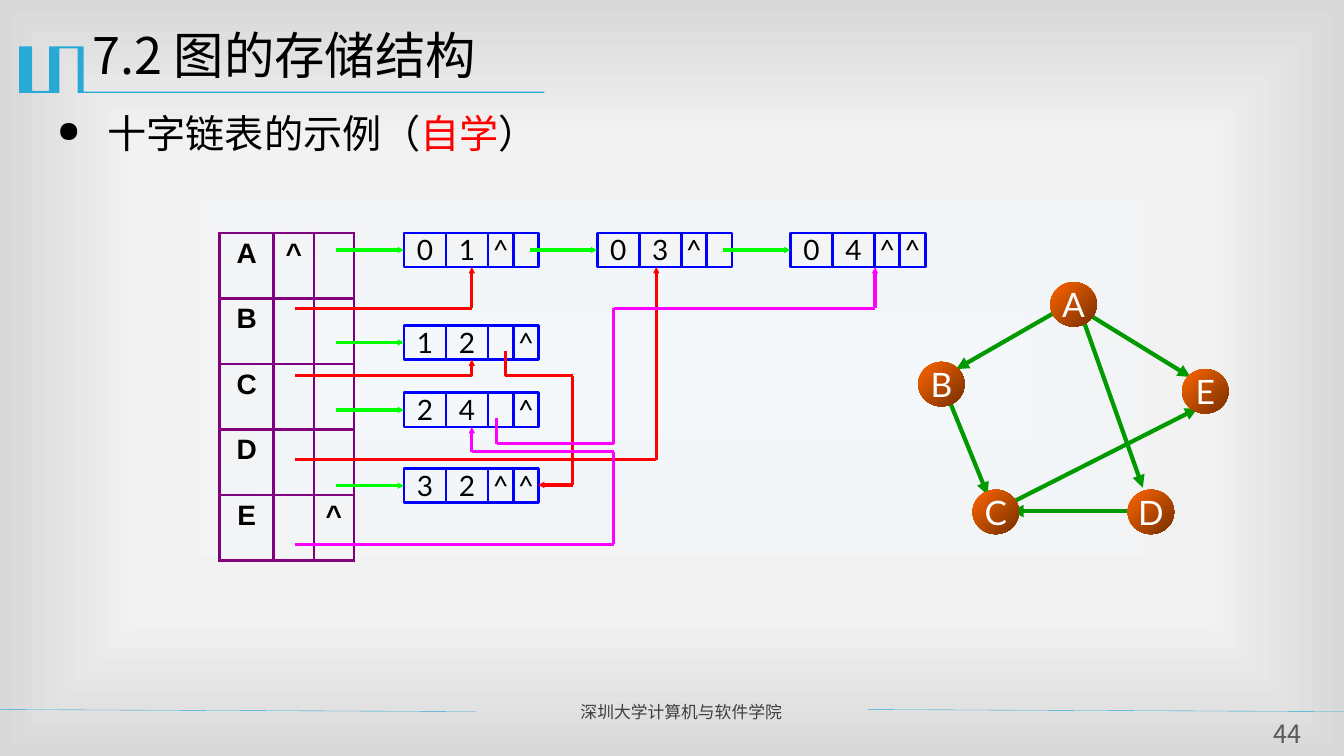
from itertools import pairwise
from lxml.etree import SubElement
from pptx import Presentation
from pptx.dml.color import RGBColor
from pptx.enum.shapes import MSO_CONNECTOR, MSO_SHAPE
from pptx.enum.text import MSO_ANCHOR, PP_ALIGN
from pptx.oxml.ns import qn
from pptx.util import Cm, Pt

CJK = "Noto Sans CJK SC"
hex_color = RGBColor.from_string


def write(frame, text, size, font, color, align=PP_ALIGN.CENTER, margin=0):
    frame.margin_left = frame.margin_right = Cm(margin)
    frame.margin_top = frame.margin_bottom = Cm(margin / 2)
    para = frame.paragraphs[0]
    para.alignment = align
    para.add_run().text = text
    para.font.size = Pt(size)
    para.font.name = font
    para.font.color.rgb = hex_color(color)
    SubElement(para._p.pPr.find(qn("a:defRPr")), qn("a:ea"), typeface=font)
    return para


def draw_route(points, color, width, head=None):
    for start, end in pairwise(points):
        line = page.shapes.add_connector(
            MSO_CONNECTOR.STRAIGHT, Cm(start[0]), Cm(start[1]), Cm(end[0]), Cm(end[1]))
        line.line.color.rgb = hex_color(color)
        line.line.width = Pt(width)
        properties = line._element.spPr
        SubElement(properties, qn("a:effectLst"))
        if head and end == points[-1]:
            SubElement(properties.find(qn("a:ln")), qn("a:tailEnd"),
                       type="triangle", w=head, len=head)


deck = Presentation()
deck.slide_width, deck.slide_height = Cm(33.87), Cm(19.05)
page = deck.slides.add_slide(deck.slide_layouts[5])

page.background.fill.gradient()
gradient = page.element.find(".//" + qn("a:gradFill"))
for child in list(gradient):
    gradient.remove(child)
stops = SubElement(gradient, qn("a:gsLst"))
for position, color in [(0, "F4F8FB"), (63, "F2F2F2"), (100, "D8D8D8")]:
    stop = SubElement(stops, qn("a:gs"), pos=str(position * 1000))
    SubElement(stop, qn("a:srgbClr"), val=color)
center = SubElement(gradient, qn("a:path"), path="rect")
SubElement(center, qn("a:fillToRect"), l="50000", t="50000", r="50000", b="50000")

outline = page.shapes.build_freeform(208, 117, scale=Cm(0.01))
outline.add_line_segments([
    (211, 117), (211, 231), (1372, 231), (1372, 234), (196, 234),
    (196, 122), (150, 122), (150, 234), (48, 234), (48, 117),
    (81, 117), (81, 229), (124, 229), (124, 117)])
ornament = outline.convert_to_shape()
ornament.shadow.inherit = False
ornament.fill.solid()
ornament.fill.fore_color.rgb = hex_color("28A9D6")
ornament.line.fill.background()

for left, right in [(0, 11.99), (21.87, 33.87)]:
    draw_route([(left, 17.88), (right, 17.93)], "28A9D6", 0.25)

title = page.shapes.title
title.left, title.top, title.width, title.height = Cm(2.08), Cm(0.61), Cm(30.48), Cm(2.21)
title.text_frame.vertical_anchor = MSO_ANCHOR.TOP
write(title.text_frame, "7.2 图的存储结构", 36, CJK, "000000", PP_ALIGN.LEFT, 0.25)
title.text_frame.margin_top = 0

body = page.shapes.add_textbox(Cm(1.19), Cm(2.64), Cm(30.81), Cm(2.01))
body.text_frame.word_wrap = True
properties = body.text_frame.paragraphs[0]._p.get_or_add_pPr()
properties.set("marL", str(Cm(1.27)))
properties.set("indent", str(-Cm(1.27)))
SubElement(properties, qn("a:buSzPct"), val="75000")
SubElement(properties, qn("a:buChar"), char="●")
para = write(body.text_frame, "十字链表的示例（", 28, CJK, "000000", PP_ALIGN.LEFT, 0.25)
span = para.add_run()
span.text = "自学"
span.font.color.rgb = hex_color("FF0000")
para.add_run().text = "）"

footer = page.shapes.add_textbox(Cm(14.38), Cm(17.55), Cm(7.24), Cm(0.76))
footer.text_frame.word_wrap = True
write(footer.text_frame, "深圳大学计算机与软件学院", 12, CJK, "3F3F3F", PP_ALIGN.LEFT, 0.25)
number = page.shapes.add_textbox(Cm(31.7), Cm(18.11), Cm(1.5), Cm(0.79))
number.text_frame.word_wrap = True
write(number.text_frame, "44", 18, CJK, "595959")

edges = [
    ((27.43, 7.92), (30, 9.5)), ((23.93, 10.11), (24.89, 12.47)),
    ((26.85, 7.72), (24.1, 9.3)), ((27.25, 7.92), (28.8, 12.29)),
    ((28.42, 12.88), (25.48, 12.88)), ((25.48, 12.67), (30.18, 10.29))]
for edge in edges:
    draw_route(edge, "009900", 3, "med")

vertices = {"B": (23.14, 9.12), "D": (28.42, 12.34), "C": (24.51, 12.34),
            "E": (29.79, 9.3), "A": (26.47, 7.11)}
for name, (left, top) in vertices.items():
    vertex = page.shapes.add_shape(MSO_SHAPE.OVAL, Cm(left), Cm(top), Cm(1.17), Cm(1.12))
    vertex.shadow.inherit = False
    vertex.line.fill.background()
    vertex.fill.gradient()
    vertex.fill.gradient_angle = 315
    for stop, color in zip(vertex.fill.gradient_stops, ["FF6600", "762F00"]):
        stop.color.rgb = hex_color(color)
    vertex.text_frame.word_wrap = False
    vertex.text_frame.vertical_anchor = MSO_ANCHOR.MIDDLE
    write(vertex.text_frame, name, 24, "Lato", "FFFFFF")

heads = ["A^ ", "B  ", "C  ", "D  ", "E ^"]
table = page.shapes.add_table(5, 3, Cm(5.54), Cm(5.87), Cm(3.38), Cm(8.25)).table
table.first_row = table.horz_banding = False
for column, width in zip(table.columns, [1.36, 1.01, 1.01]):
    column.width = Cm(width)
for row_index, labels in enumerate(heads):
    table.rows[row_index].height = Cm(1.65)
    for column_index, label in enumerate(labels):
        cell = table.cell(row_index, column_index)
        cell.fill.background()
        properties = cell._tc.get_or_add_tcPr()
        for index, side in enumerate(["a:lnL", "a:lnR", "a:lnT", "a:lnB"]):
            border = SubElement(properties, qn(side), w=str(Pt(2.25)))
            properties.insert(index, border)
            SubElement(SubElement(border, qn("a:solidFill")), qn("a:srgbClr"), val="800080")
        if label != " ":
            para = write(cell.text_frame, label, 20, "Arial", "000000", margin=0.25)
            para.font.bold = True

arc_nodes = [
    (10.18, 5.87, "01^ "), (15.05, 5.87, "03^ "), (19.92, 5.87, "04^^"),
    (10.18, 8.2, "12 ^"), (10.18, 9.9, "24 ^"), (10.18, 11.81, "32^^")]
field_slots = [(0, 0, 1.06), (2, 2.12, 0.64), (1, 1.06, 1.06), (3, 2.76, 0.64)]
for left, top, fields in arc_nodes:
    for index, offset, width in field_slots:
        box = page.shapes.add_shape(
            MSO_SHAPE.RECTANGLE, Cm(left + offset), Cm(top), Cm(width), Cm(0.86))
        box.shadow.inherit = False
        box.fill.background()
        box.line.color.rgb = hex_color("0000FF")
        box.line.width = Pt(2)
        if fields[index] != " ":
            box.text_frame.vertical_anchor = MSO_ANCHOR.TOP
            write(box.text_frame, fields[index], 20, "Lato", "000000")
    draw_route([(left - 1.7, top + 0.43), (left, top + 0.43)], "00FF00", 2.25, "sm")

in_links = [
    ("FF0000", [(7.44, 7.77), (11.89, 7.77), (11.89, 6.73)]),
    ("FF0000", [(7.44, 9.47), (11.89, 9.47), (11.89, 9.06)]),
    ("FF0000", [(12.73, 8.84), (12.73, 9.47), (14.43, 9.47), (14.43, 12.22), (13.56, 12.22)]),
    ("FF0000", [(7.44, 11.58), (16.54, 11.58), (16.54, 6.73)]),
    ("FF00FF", [(7.44, 13.72), (15.47, 13.72), (15.47, 11.38), (11.89, 11.38), (11.89, 10.76)]),
    ("FF00FF", [(12.52, 10.54), (12.52, 11.18), (15.47, 11.18), (15.47, 7.77),
                (22.05, 7.77), (22.05, 6.73)])]
for color, points in in_links:
    draw_route(points, color, 2.25, "sm")

deck.save("out.pptx")
